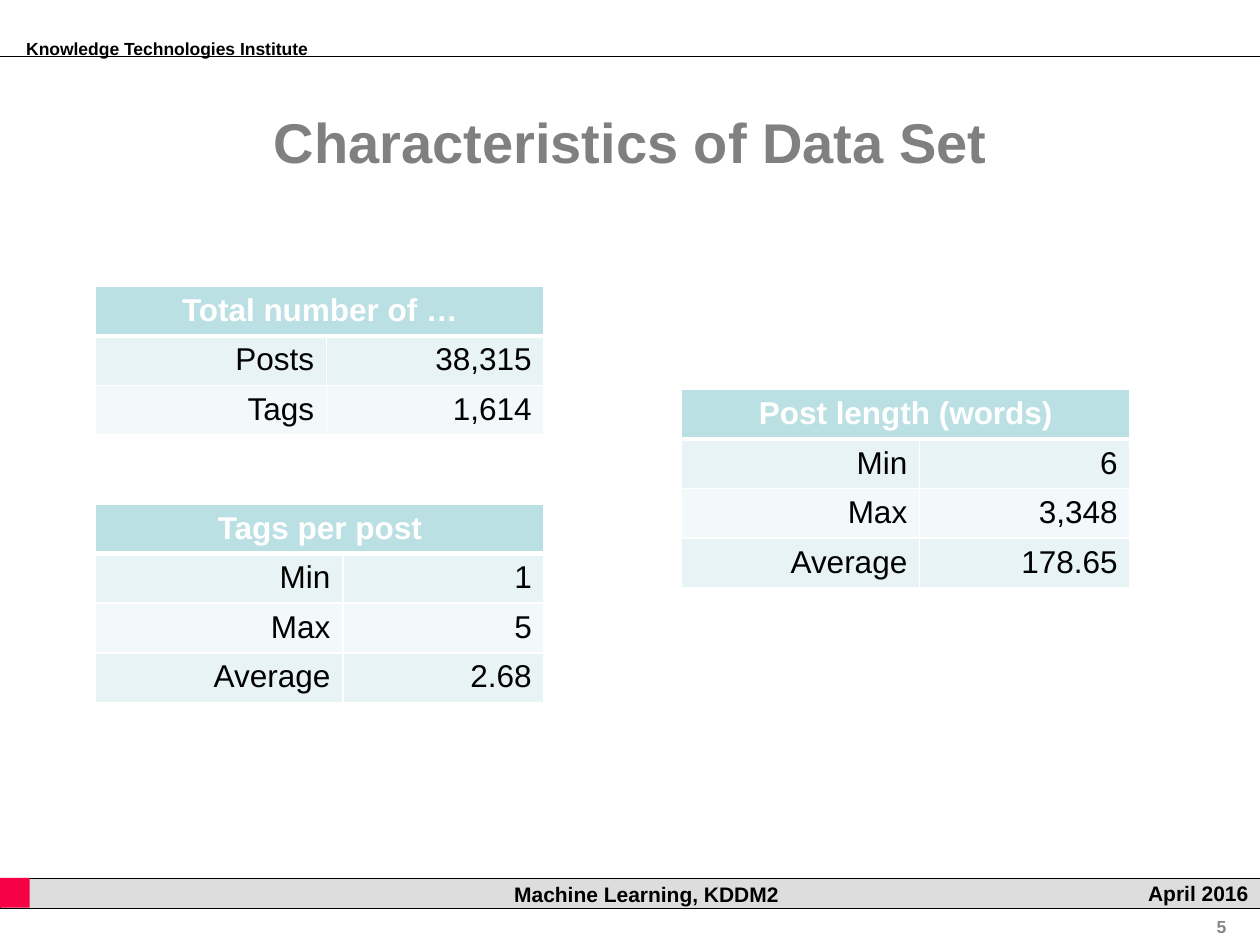
from lxml import etree
from pptx import Presentation
from pptx.dml.color import RGBColor
from pptx.enum.shapes import MSO_CONNECTOR, MSO_SHAPE
from pptx.enum.text import MSO_ANCHOR, PP_ALIGN
from pptx.oxml.ns import qn
from pptx.util import Cm, Pt

LEFT, CENTER, RIGHT = PP_ALIGN.LEFT, PP_ALIGN.CENTER, PP_ALIGN.RIGHT
TOP, MIDDLE = MSO_ANCHOR.TOP, MSO_ANCHOR.MIDDLE
RECTANGLE, STRAIGHT = MSO_SHAPE.RECTANGLE, MSO_CONNECTOR.STRAIGHT

FONT = "Arial"
BLACK, WHITE, GRAY, NUMBER_GRAY = "000000", "FFFFFF", "808080", "878787"
BAR_GRAY, RED = "DDDDDD", "F70146"
HEAD_FILL, BAND_FILLS = "BBE0E3", ("E7F3F4", "F3F9FA")
PAGE_WIDTH, PAGE_HEIGHT = 25.4, 19.05
TABLE_WIDTH, ROW_HEIGHT = 9.04, 1.0

TABLES = [
    (1.93, 5.77, 4.65, "Total number of …", [("Posts", "38,315"), ("Tags", "1,614")]),
    (1.93, 10.16, 4.98, "Tags per post", [("Min", "1"), ("Max", "5"), ("Average", "2.68")]),
    (13.74, 7.85, 4.8, "Post length (words)",
     [("Min", "6"), ("Max", "3,348"), ("Average", "178.65")]),
]


def rgb(value):
    """Turn a hex string into a colour."""
    return RGBColor.from_string(value)


def write(frame, text, size, color, align, bold=True):
    """Put one formatted paragraph into a text frame."""
    frame.text = text
    para = frame.paragraphs[0]
    para.alignment = align
    for span in para.runs:
        span.font.name = FONT
        span.font.size = Pt(size)
        span.font.bold = bold
        span.font.color.rgb = rgb(color)


def add_label(page, box, text, size, color, align, anchor=TOP):
    """Add a text box at the given left, top, width and height."""
    frame = page.shapes.add_textbox(*map(Cm, box)).text_frame
    frame.word_wrap = True
    frame.vertical_anchor = anchor
    write(frame, text, size, color, align)
    return frame


def add_block(page, box, fill):
    """Add a plain filled rectangle without outline."""
    block = page.shapes.add_shape(RECTANGLE, *map(Cm, box))
    block.shadow.inherit = False
    block.fill.solid()
    block.fill.fore_color.rgb = rgb(fill)
    block.line.fill.background()
    return block


def add_header(page, left, top, width):
    """Draw the institute name above a rule across the page."""
    rule_top = Cm(top + 0.5)
    rule = page.shapes.add_connector(STRAIGHT, Cm(left), rule_top, Cm(left + width), rule_top)
    rule.line.color.rgb = rgb(BLACK)
    rule.line.width = Pt(0.75)
    etree.SubElement(rule._element.spPr, qn("a:effectLst"))
    frame = add_label(page, (left + 0.33, top, 6.22, 0.69),
                      "Knowledge Technologies Institute", 10, BLACK, LEFT)
    frame.margin_left = Cm(0.2)
    frame.word_wrap = False


def add_footer(page, left, top, width):
    """Draw the bar with course and date, and the slide number below."""
    bar = add_block(page, (left + 0.02, top, width, 0.61), BAR_GRAY)
    bar.line.color.rgb = rgb(BLACK)
    bar.line.width = Pt(0.5)
    bar.text_frame.vertical_anchor = MIDDLE
    write(bar.text_frame, "April 2016", 12, BLACK, RIGHT)
    add_block(page, (left, top, 0.6, 0.6), RED)
    add_label(page, (left + 8.92, top - 0.05, 8.23, 0.61),
              "Machine Learning, KDDM2", 12, BLACK, CENTER)
    add_label(page, (left + 22.4, top + 0.64, 2.57, 0.69), "5", 10, NUMBER_GRAY, RIGHT)


def set_borders(cell, top, bottom):
    """Give a cell white borders, with top and bottom widths in points."""
    properties = cell._tc.get_or_add_tcPr()
    widths = {"lnL": 1, "lnR": 1, "lnT": top, "lnB": bottom}
    for position, (side, width) in enumerate(widths.items()):
        border = etree.Element(qn(f"a:{side}"), w=str(Pt(width)))
        fill = etree.SubElement(border, qn("a:solidFill"))
        etree.SubElement(fill, qn("a:srgbClr"), val=WHITE)
        properties.insert(position, border)


def format_cell(cell, row):
    """Set margins, fill and borders of a cell by its row."""
    cell.margin_left = cell.margin_right = Cm(0.25)
    cell.margin_top, cell.margin_bottom = Cm(0.13), 0
    cell.fill.solid()
    cell.fill.fore_color.rgb = rgb(BAND_FILLS[(row - 1) % 2] if row else HEAD_FILL)
    set_borders(cell, 3 if row == 1 else 1, 1 if row else 3)


def add_fact_table(page, left, top, label_width, heading, facts):
    """Add a table with a merged heading and rows of label and value."""
    count = len(facts) + 1
    box = (left, top, TABLE_WIDTH, ROW_HEIGHT * count)
    table = page.shapes.add_table(count, 2, *map(Cm, box)).table
    table.columns[0].width = Cm(label_width)
    table.columns[1].width = Cm(TABLE_WIDTH - label_width)
    for row in range(count):
        for column in range(2):
            format_cell(table.cell(row, column), row)
    table.cell(0, 0).merge(table.cell(0, 1))
    write(table.cell(0, 0).text_frame, heading, 18, WHITE, CENTER)
    for row, fact in enumerate(facts, 1):
        for column, text in enumerate(fact):
            write(table.cell(row, column).text_frame, text, 18, BLACK, RIGHT, bold=False)


def main():
    """Build the slide and save the deck."""
    deck = Presentation()
    deck.slide_width, deck.slide_height = Cm(PAGE_WIDTH), Cm(PAGE_HEIGHT)
    page = deck.slides.add_slide(deck.slide_layouts[6])
    add_header(page, 0, 0.64, PAGE_WIDTH)
    add_footer(page, 0, 17.7, PAGE_WIDTH)
    add_label(page, (1.3, 1.35, 22.83, 2.97),
              "Characteristics of Data Set", 32, GRAY, CENTER, MIDDLE)
    for entry in TABLES:
        add_fact_table(page, *entry)
    deck.save("out.pptx")


if __name__ == "__main__":
    main()
